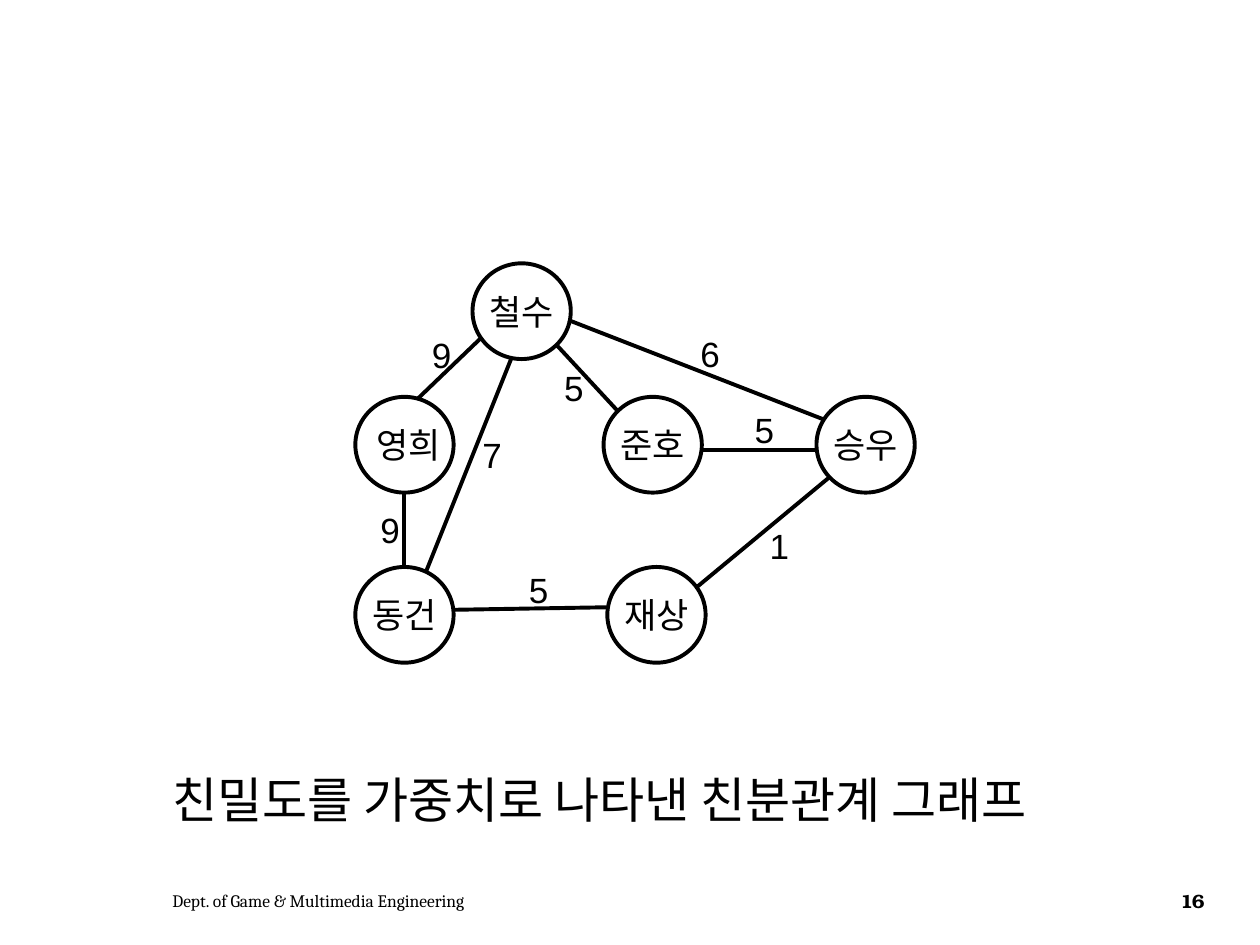
import pptx
import pptx.dml.color
import pptx.enum.shapes
import pptx.enum.text
import pptx.oxml
import pptx.oxml.ns
import pptx.util

COLUMNS, ROWS = 100, 75
NODE_SIZE = (7.8, 7.6)

# Left and top of each person, in grid units
PEOPLE = {
    " 영희": (28.2, 31.5),
    "철수": (37.5, 20.9),
    "준호": (47.9, 31.5),
    "동건": (28.2, 45),
    "승우": (64.8, 31.5),
    "재상": (48.2, 45),
}

# Start, end, weight, left and top of the weight
TIES = [
    ((33.1, 31.7), (38.1, 26.9), "9", (33.3, 26)),
    ((45.1, 25.4), (65.4, 33.3), "6", (54.6, 25.9)),
    ((44.1, 27.3), (49.1, 32.7), "5", (43.8, 28.6)),
    ((35.9, 48.4), (48.1, 48.2), "5", (41, 44.6)),
    ((55.8, 35.7), (64.8, 35.7), "5", (58.9, 31.9)),
    ((55.3, 46.6), (65.8, 37.9), "1", (60.1, 41.1)),
    ((32.1, 39.2), (32.1, 45), "9", (29.2, 39.9)),
    ((40.6, 28.4), (33.8, 45.4), "7", (37.3, 33.9)),
]


def color(value):
    return pptx.dml.color.RGBColor.from_string(value)


def write(frame, text, size=20, font="Arial", ink="000000", bold=False,
          centered=False, middle=False, wrap=False, grow=False, spacing=0):
    """Fill a text frame with one formatted line; spacing is in points."""
    anchors = pptx.enum.text.MSO_ANCHOR
    aligns = pptx.enum.text.PP_ALIGN
    sizing = pptx.enum.text.MSO_AUTO_SIZE
    frame.word_wrap = wrap
    frame.auto_size = sizing.SHAPE_TO_FIT_TEXT if grow else sizing.NONE
    frame.vertical_anchor = anchors.MIDDLE if middle else anchors.TOP
    para = frame.paragraphs[0]
    para.alignment = aligns.CENTER if centered else aligns.LEFT
    span = para.add_run()
    span.text = text
    span.font.size = pptx.util.Pt(size)
    span.font.name = font
    span.font.bold = bold
    span.font.color.rgb = color(ink)
    if spacing:
        span.font._element.set("spc", str(round(spacing * 100)))


class GraphPage:
    """Style and current slide, with lengths in columns and rows."""

    ink = "000000"
    line_width = 2.25

    def __init__(self, deck):
        self.column = deck.slide_width / COLUMNS
        self.row = deck.slide_height / ROWS
        self.page = deck.slides.add_slide(deck.slide_layouts[6])
        self.graph = self.page.shapes.add_group_shape()

    def place(self, *lengths):
        """Turn alternating columns and rows into slide lengths."""
        units = (self.column, self.row) * 2
        return [round(length * unit) for length, unit in zip(lengths, units)]

    def outline(self, line):
        line.color.rgb = color(self.ink)
        line.width = pptx.util.Pt(self.line_width)

    def node(self, name, corner):
        circle = self.graph.shapes.add_shape(
            pptx.enum.shapes.MSO_SHAPE.OVAL, *self.place(*corner, *NODE_SIZE))
        circle.shadow.inherit = False
        circle.fill.background()
        self.outline(circle.line)
        write(circle.text_frame, name, centered=True, middle=True)

    def edge(self, start, end):
        tie = self.graph.shapes.add_connector(
            pptx.enum.shapes.MSO_CONNECTOR.STRAIGHT, *self.place(*start, *end))
        self.outline(tie.line)
        properties = tie._element.spPr
        properties.append(pptx.oxml.parse_xml(
            "<a:effectLst %s/>" % pptx.oxml.ns.nsdecls("a")))

    def label(self, text, left, top, width, height, **style):
        box = self.page.shapes.add_textbox(*self.place(left, top, width, height))
        write(box.text_frame, text, **style)


def main():
    deck = pptx.Presentation()
    deck.slide_width = pptx.util.Inches(10)
    deck.slide_height = pptx.util.Inches(7.5)

    page = GraphPage(deck)
    for start, end, _, _ in TIES:
        page.edge(start, end)
    for name, corner in PEOPLE.items():
        page.node(name, corner)
    for _, _, weight, corner in TIES:
        page.label(weight, *corner, 3.7, 4.3, grow=True)

    page.label("친밀도를 가중치로 나타낸 친분관계 그래프",
               12.7, 60.6, 78, 5.7, size=28, grow=True)
    page.label("Dept. of Game & Multimedia Engineering", 12.7, 69.5, 45.9, 4,
               size=10, font="Cambria", middle=True, wrap=True)
    page.label("16", 92, 69.5, 5.3, 4, size=11, font="TeX Gyre Bonum",
               bold=True, centered=True, middle=True, wrap=True, spacing=-0.7)

    deck.save("out.pptx")


if __name__ == "__main__":
    main()
